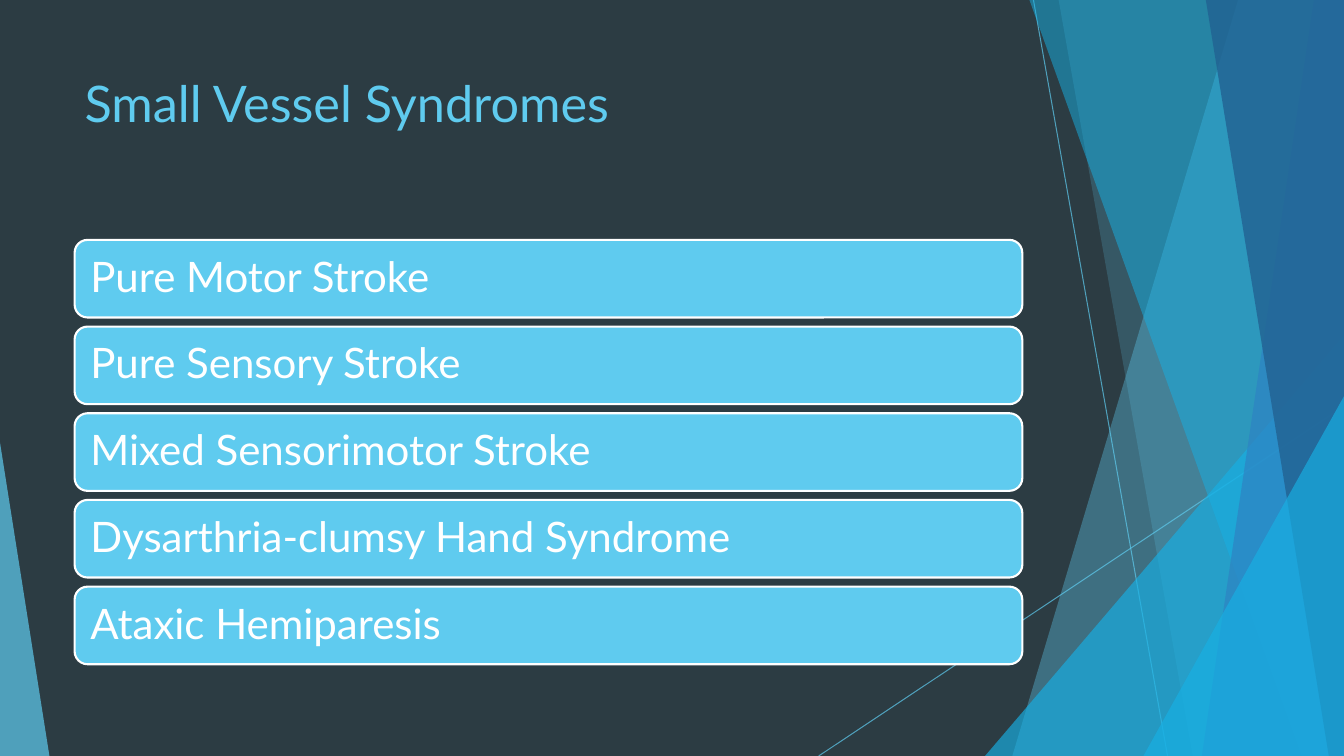
"""Build the Small Vessel Syndromes slide."""
import pptx
import pptx.dml.color
import pptx.enum.shapes
import pptx.enum.text
import pptx.oxml
import pptx.oxml.ns
import pptx.util
from pptx.util import Inches

WIDTH, HEIGHT = 13.33, 7.5
FONT = "Lato"
COLOURS = {
    "background": "2C3C43",
    "sky": "5FCBEF",
    "cyan": "17B0E4",
    "blue": "2E83C3",
    "navy": "226292",
    "white": "FFFFFF",
}


def colour(name):
    return pptx.dml.color.RGBColor.from_string(COLOURS[name])


def set_opacity(shape, percent):
    tag = pptx.oxml.ns.qn("a:srgbClr")
    for element in shape._element.spPr.iter(tag):
        alpha = pptx.oxml.parse_xml(
            f'<a:alpha {pptx.oxml.ns.nsdecls("a")} val="{percent * 1000}"/>')
        element.append(alpha)


presentation = pptx.Presentation()
presentation.slide_width = Inches(WIDTH)
presentation.slide_height = Inches(HEIGHT)
slide = presentation.slides.add_slide(presentation.slide_layouts[5])
slide.background.fill.solid()
slide.background.fill.fore_color.rgb = colour("background")

for start_x, start_y, end_x, end_y in [(10.25, 0, 11.58, HEIGHT),
                                       (WIDTH, 4.03, 8.12, HEIGHT)]:
    line = slide.shapes.add_connector(
        pptx.enum.shapes.MSO_CONNECTOR.STRAIGHT,
        Inches(start_x), Inches(start_y), Inches(end_x), Inches(end_y))
    line.line.color.rgb = colour("sky")
    line.line.width = pptx.util.Pt(0.75)
    set_opacity(line, 70)
    line._element.spPr.append(
        pptx.oxml.parse_xml(f'<a:effectLst {pptx.oxml.ns.nsdecls("a")}/>'))

# Beams: top x, bottom x. Triangles: left, top, width, apex position.
facets = [
    ("beam", (12.28, 10.04), "sky", 36),
    ("beam", (10.5, 11.83), "sky", 20),
    ("triangle", (9.77, 3.33, 3.56, 1), "cyan", 66),
    ("beam", (10.21, 12.91), "cyan", 50),
    ("beam", (13.03, 11.92), "blue", 70),
    ("beam", (11.96, 13.18), "navy", 80),
    ("triangle", (11.34, 3.93, 1.99, 1), "cyan", 66),
    ("triangle", (0, 4.39, 0.49, 0), "sky", 70),
]
for kind, geometry, colour_name, opacity in facets:
    if kind == "beam":
        top_x, bottom_x = geometry
        builder = slide.shapes.build_freeform(Inches(top_x), 0)
        builder.add_line_segments([
            (Inches(WIDTH), 0),
            (Inches(WIDTH), Inches(HEIGHT)),
            (Inches(bottom_x), Inches(HEIGHT)),
        ], close=True)
        facet = builder.convert_to_shape()
    else:
        left, top, width, apex = geometry
        facet = slide.shapes.add_shape(
            pptx.enum.shapes.MSO_SHAPE.ISOSCELES_TRIANGLE,
            Inches(left), Inches(top), Inches(width), Inches(HEIGHT - top))
        facet.adjustments[0] = apex
    facet.shadow.inherit = False
    facet.fill.solid()
    facet.fill.fore_color.rgb = colour(colour_name)
    facet.line.fill.background()
    set_opacity(facet, opacity)

title = slide.shapes.title
title.left, title.top = Inches(0.74), Inches(0.67)
title.width, title.height = Inches(9.4), Inches(1.44)
title.text_frame.vertical_anchor = pptx.enum.text.MSO_ANCHOR.TOP
paragraph = title.text_frame.paragraphs[0]
paragraph.alignment = pptx.enum.text.PP_ALIGN.LEFT
run = paragraph.add_run()
run.text = "Small Vessel Syndromes"
run.font.name = FONT
run.font.size = pptx.util.Pt(36)
run.font.color.rgb = colour("sky")

syndromes = [
    "Pure Motor Stroke",
    "Pure Sensory Stroke",
    "Mixed Sensorimotor Stroke",
    "Dysarthria-clumsy Hand Syndrome",
    "Ataxic Hemiparesis",
]
for index, syndrome in enumerate(syndromes):
    bar = slide.shapes.add_shape(
        pptx.enum.shapes.MSO_SHAPE.ROUNDED_RECTANGLE,
        Inches(0.74), Inches(2.38 + index * 0.86), Inches(9.4), Inches(0.77))
    bar.shadow.inherit = False
    bar.fill.solid()
    bar.fill.fore_color.rgb = colour("sky")
    bar.line.color.rgb = colour("white")
    bar.line.width = pptx.util.Pt(1.5)
    frame = bar.text_frame
    frame.word_wrap = True
    frame.vertical_anchor = pptx.enum.text.MSO_ANCHOR.MIDDLE
    frame.margin_left = frame.margin_right = Inches(0.12)
    frame.margin_top = frame.margin_bottom = Inches(0.12)
    paragraph = frame.paragraphs[0]
    paragraph.alignment = pptx.enum.text.PP_ALIGN.LEFT
    paragraph.line_spacing = 0.9
    run = paragraph.add_run()
    run.text = syndrome
    run.font.name = FONT
    run.font.size = pptx.util.Pt(30)
    run.font.color.rgb = colour("white")

presentation.save("out.pptx")
